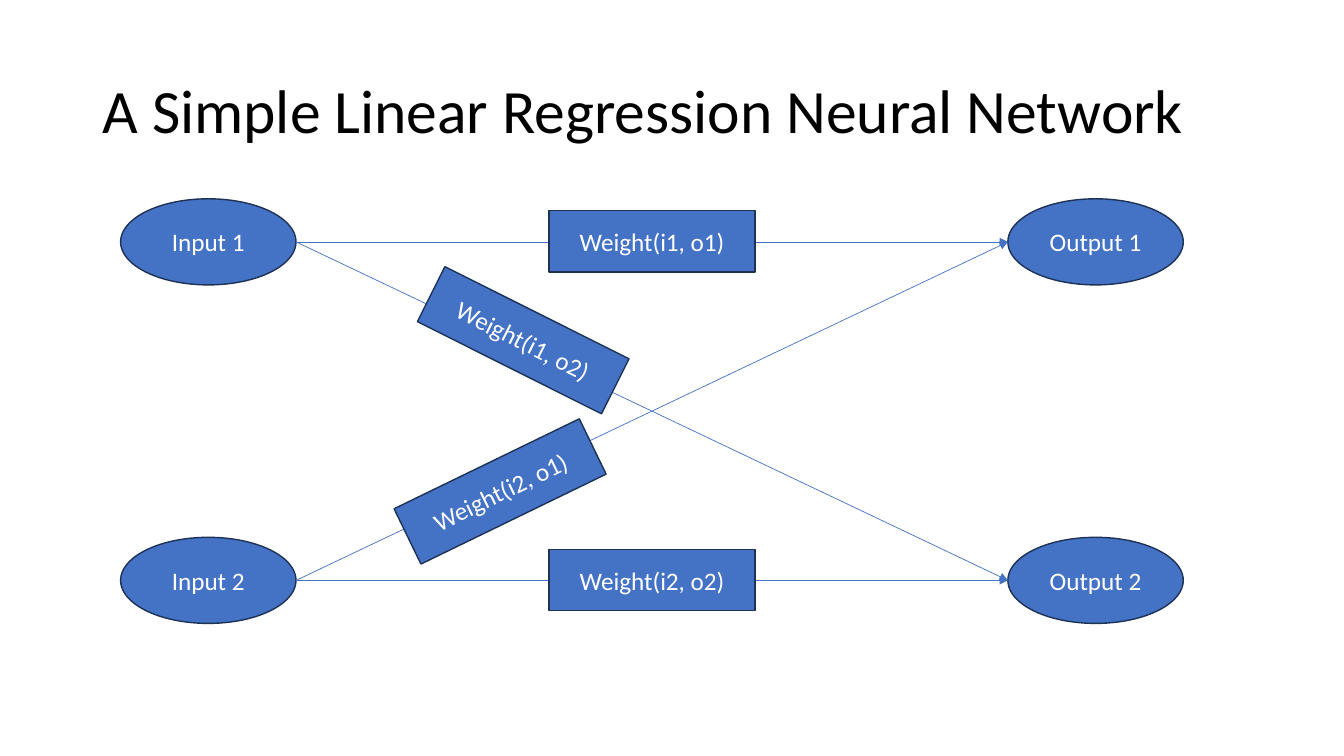
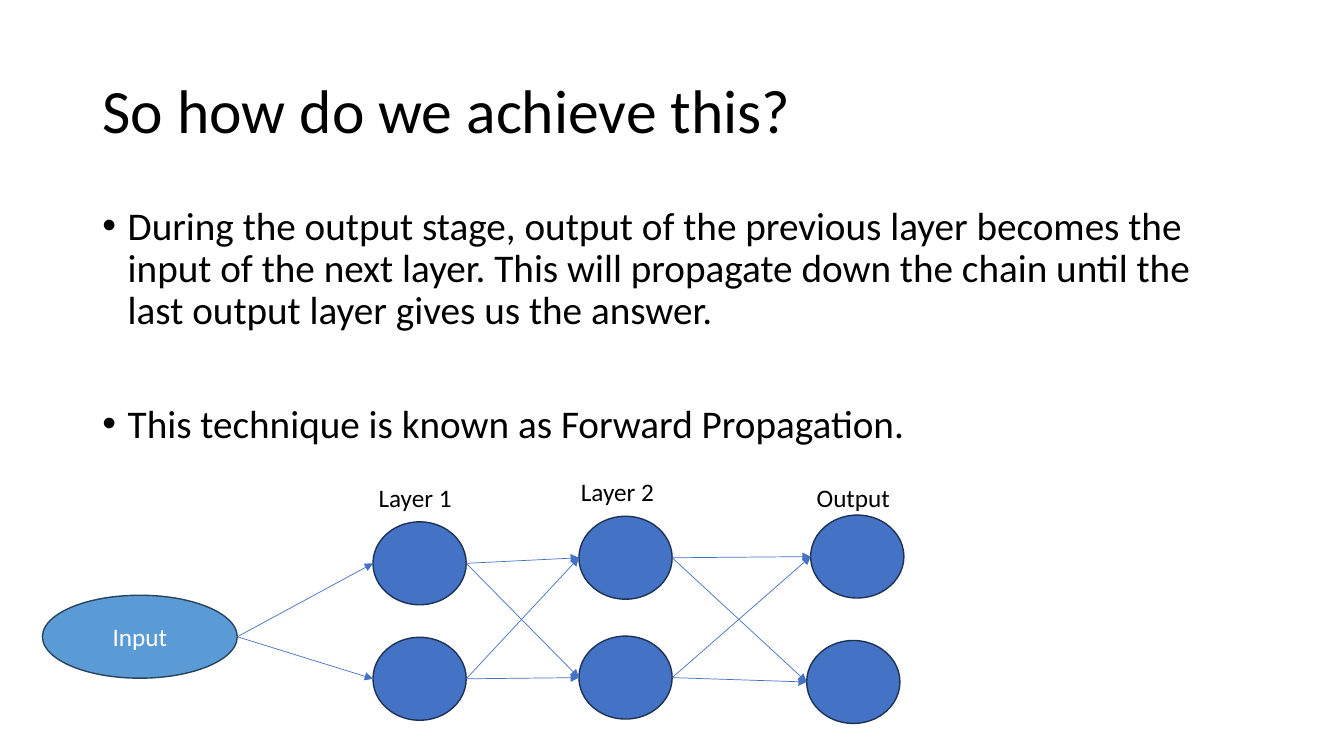
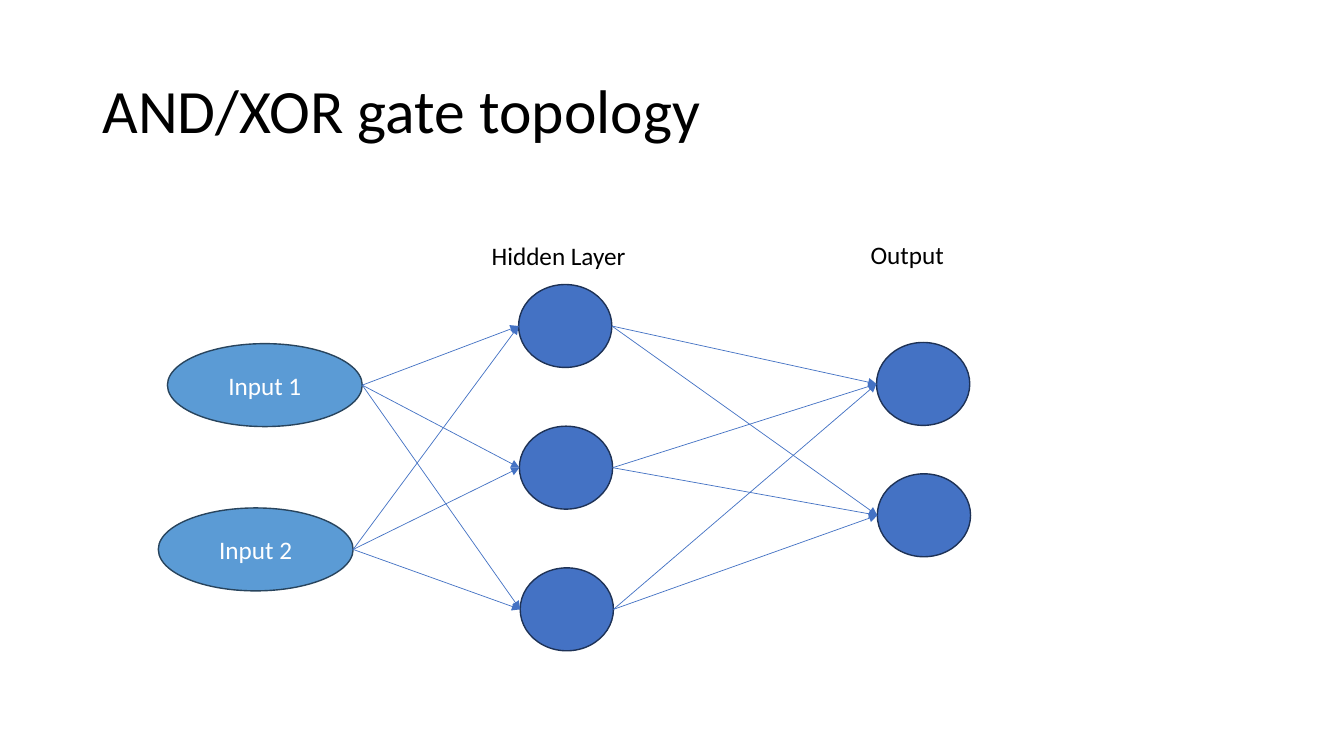
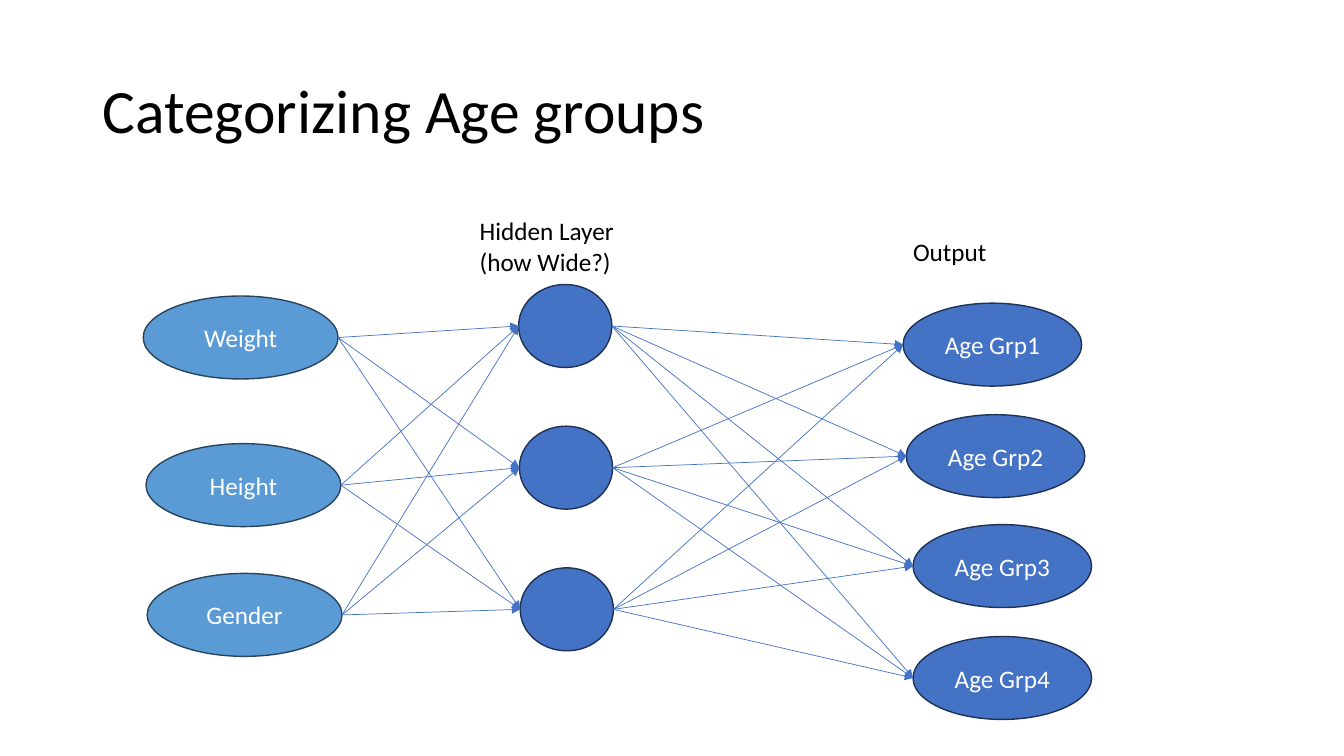
"""Build four slides that explain small neural networks."""
from itertools import pairwise, product

from lxml import etree
from pptx import Presentation
from pptx.dml.color import RGBColor
from pptx.enum import shapes, text
from pptx.oxml.ns import qn
from pptx.util import Cm, Pt

FONT = "Calibri"
COLOURS = {
    "text": "000000",
    "on_fill": "FFFFFF",
    "blue": "4472C4",
    "blue_edge": "1E3256",
    "sky": "5B9BD5",
    "sky_edge": "28445D",
}
NODE_STYLES = {
    "terminal": ("blue", 4.42, 2.17),
    "input": ("sky", 4.91, 2.09),
    "neuron": ("blue", 2.35, 2.09),
    "group": ("blue", 4.5, 2.09),
}
WEIGHT_SIZE = (5.19, 1.55)
ELLIPSE_LEFT, ELLIPSE_RIGHT = 2, 6
HIDDEN_NEURONS = [(13.07 + 0.02 * row, 7.17 + 3.57 * row, "") for row in range(3)]


def colour(name):
    """Return the named colour as an RGB value."""
    return RGBColor.from_string(COLOURS[name])


def add_run(paragraph, wording, size, ink="text"):
    """Add one formatted run to a paragraph."""
    run = paragraph.add_run()
    run.text = wording
    run.font.name = FONT
    run.font.size = Pt(size)
    run.font.color.rgb = colour(ink)


def add_titled_slide(deck, heading):
    """Add a title-only slide with its heading placed and formatted."""
    slide = deck.slides.add_slide(deck.slide_layouts[5])
    title = slide.shapes.title
    title.left, title.top, title.width, title.height = map(Cm, (2.33, 1.01, 29.21, 3.68))
    frame = title.text_frame
    frame.vertical_anchor = text.MSO_ANCHOR.MIDDLE
    paragraph = frame.paragraphs[0]
    paragraph.alignment = text.PP_ALIGN.LEFT
    paragraph.line_spacing = 0.9
    add_run(paragraph, heading, 44)
    return slide


def add_filled(slide, preset, box, fill, wording, rotation=0):
    """Add an outlined preset shape with an optional centred caption."""
    shape = slide.shapes.add_shape(preset, *map(Cm, box))
    shape.rotation = rotation
    shape.shadow.inherit = False
    shape.fill.solid()
    shape.fill.fore_color.rgb = colour(fill)
    shape.line.color.rgb = colour(fill + "_edge")
    shape.line.width = Pt(1)
    if wording:
        frame = shape.text_frame
        frame.vertical_anchor = text.MSO_ANCHOR.MIDDLE
        frame.paragraphs[0].alignment = text.PP_ALIGN.CENTER
        add_run(frame.paragraphs[0], wording, 18, "on_fill")
    return shape


def add_weight(slide, left, top, wording, rotation=0):
    """Add a box that names the weight of a connection."""
    box = (left, top, *WEIGHT_SIZE)
    add_filled(slide, shapes.MSO_SHAPE.RECTANGLE, box, "blue", wording, rotation)


def add_layer(slide, style, places):
    """Add the ellipses of one network layer and return them."""
    fill, width, height = NODE_STYLES[style]
    return [
        add_filled(slide, shapes.MSO_SHAPE.OVAL, (left, top, width, height), fill, wording)
        for left, top, wording in places
    ]


def add_arrow(slide, source, target):
    """Join the right of one ellipse to the left of another with an arrow."""
    arrow = slide.shapes.add_connector(
        shapes.MSO_CONNECTOR.STRAIGHT,
        source.left + source.width, source.top + source.height // 2,
        target.left, target.top + target.height // 2,
    )
    arrow.line.color.rgb = colour("blue")
    arrow.line.width = Pt(0.5)
    properties = arrow._element.spPr
    etree.SubElement(properties.find(qn("a:ln")), qn("a:tailEnd"), type="triangle")
    etree.SubElement(properties, qn("a:effectLst"))
    joints = arrow._element.find(".//" + qn("p:cNvCxnSpPr"))
    for tag, node, site in (("a:stCxn", source, ELLIPSE_RIGHT), ("a:endCxn", target, ELLIPSE_LEFT)):
        etree.SubElement(joints, qn(tag), id=str(node.shape_id), idx=str(site))


def add_network(slide, *layers):
    """Add layers of nodes and connect each one fully to the next."""
    columns = [add_layer(slide, style, places) for style, places in layers]
    for sources, targets in pairwise(columns):
        for source, target in product(sources, targets):
            add_arrow(slide, source, target)


def add_label(slide, left, top, wording, width=2.74, height=1.03):
    """Add a plain caption above a layer."""
    frame = slide.shapes.add_textbox(*map(Cm, (left, top, width, height))).text_frame
    frame.word_wrap = True
    frame.auto_size = text.MSO_AUTO_SIZE.SHAPE_TO_FIT_TEXT
    add_run(frame.paragraphs[0], wording, 18)


def add_bullets(slide, box, points, gap):
    """Add a bulleted list with an equal gap between its points."""
    frame = slide.shapes.add_textbox(*map(Cm, box)).text_frame
    frame.word_wrap = True
    for index, point in enumerate(points):
        paragraph = frame.add_paragraph() if index else frame.paragraphs[0]
        paragraph.line_spacing = 0.9
        paragraph.space_before = Pt(gap if index else 0)
        properties = paragraph._p.get_or_add_pPr()
        properties.set("marL", str(Cm(0.64)))
        properties.set("indent", str(-Cm(0.64)))
        etree.SubElement(properties, qn("a:buFont"), typeface="Arial")
        etree.SubElement(properties, qn("a:buChar"), char="•")
        add_run(paragraph, point, 28)


def add_regression(deck):
    """Add the linear regression network with its weights."""
    slide = add_titled_slide(deck, "A Simple Linear Regression Neural Network")
    rows = ((1, 5.01), (2, 13.54))
    add_network(
        slide,
        ("terminal", [(3.04, top, f"Input {number}") for number, top in rows]),
        ("terminal", [(25.4, top, f"Output {number}") for number, top in rows]),
    )
    add_weight(slide, 13.84, 5.31, "Weight(i1, o1)")
    add_weight(slide, 13.84, 13.84, "Weight(i2, o2)")
    add_weight(slide, 10.59, 7.8, "Weight(i1, o2)", 26.6)
    add_weight(slide, 10.01, 11.61, "Weight(i2, o1)", 334.1)


def add_propagation(deck):
    """Add the explanation of forward propagation."""
    slide = add_titled_slide(deck, "So how do we achieve this?")
    points = (
        "During the output stage, output of the previous layer becomes the input of the next "
        "layer. This will propagate down the chain until the last output layer gives us the answer.",
        "This technique is known as Forward Propagation.",
    )
    add_bullets(slide, (2.33, 5.07, 29.21, 6.7), points, 51)
    add_network(
        slide,
        ("input", [(1.07, 15, "Input")]),
        ("neuron", [(9.4, 13.15, ""), (9.4, 16.06, "")]),
        ("neuron", [(14.59, 13.01, ""), (14.59, 16.03, "")]),
        ("neuron", [(20.43, 12.98, ""), (20.33, 16.14, "")]),
    )
    add_label(slide, 9.29, 12.02, "Layer 1")
    add_label(slide, 14.39, 11.89, "Layer 2")
    add_label(slide, 20.33, 12.02, "Output")


def add_gate(deck):
    """Add the topology of the logic gate network."""
    slide = add_titled_slide(deck, "AND/XOR gate topology")
    add_network(
        slide,
        ("input", [(4.22, 8.66, "Input 1"), (3.99, 12.8, "Input 2")]),
        ("neuron", HIDDEN_NEURONS),
        ("neuron", [(22.09, 8.63, ""), (22.11, 11.94, "")]),
    )
    add_label(slide, 12.14, 5.92, "Hidden Layer", 4.22)
    add_label(slide, 21.69, 5.91, "Output")


def add_age_groups(deck):
    """Add the network that sorts people into age groups."""
    slide = add_titled_slide(deck, "Categorizing Age groups")
    add_network(
        slide,
        ("input", [(3.61, 7.46, "Weight"), (3.68, 11.18, "Height"), (3.71, 14.45, "Gender")]),
        ("neuron", HIDDEN_NEURONS),
        ("group", [
            (22.76, 7.64, "Age Grp1"),
            (22.84, 10.45, "Age Grp2"),
            (23.01, 13.22, "Age Grp3"),
            (23.01, 16.04, "Age Grp4"),
        ]),
    )
    add_label(slide, 11.84, 5.31, "Hidden Layer (how Wide?)", 4.01, 1.8)
    add_label(slide, 22.76, 5.82, "Output")


def main():
    """Build and save the presentation."""
    deck = Presentation()
    deck.slide_width, deck.slide_height = Cm(33.87), Cm(19.05)
    for add_topic in (add_regression, add_propagation, add_gate, add_age_groups):
        add_topic(deck)
    deck.save("out.pptx")


if __name__ == "__main__":
    main()
